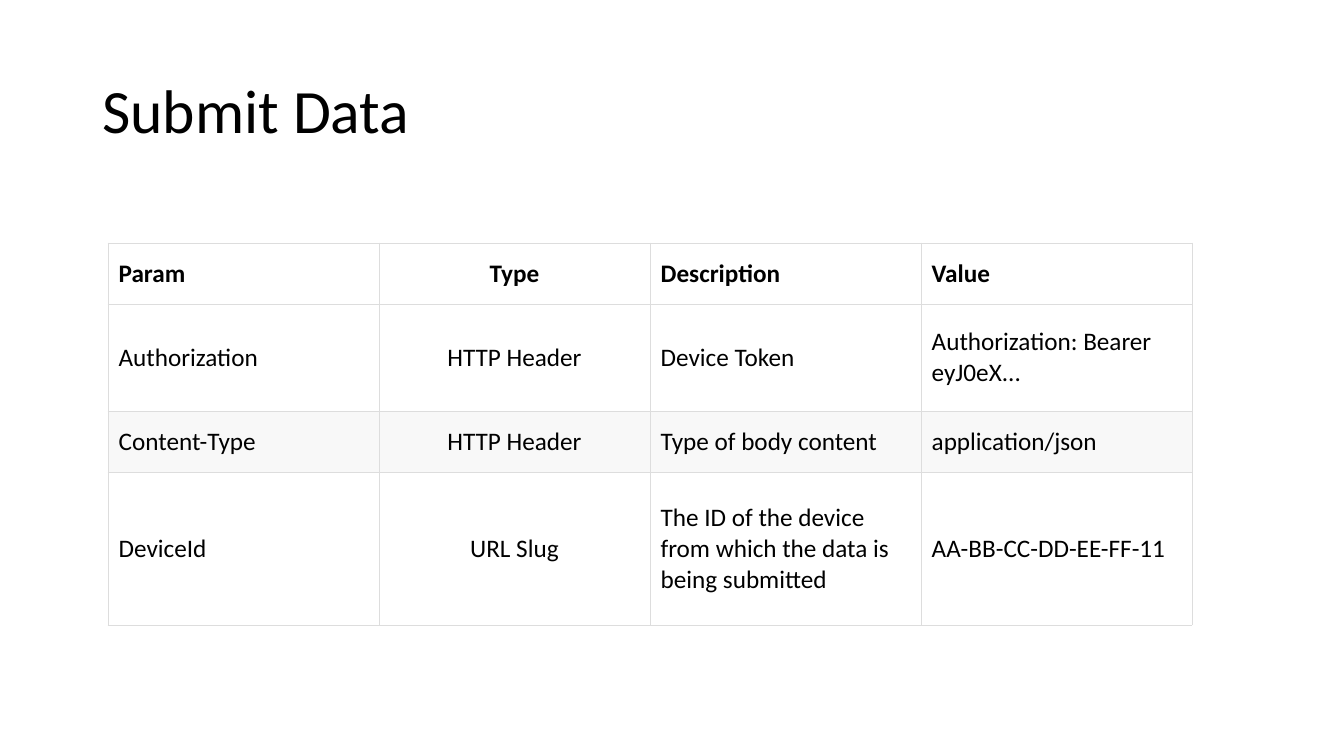
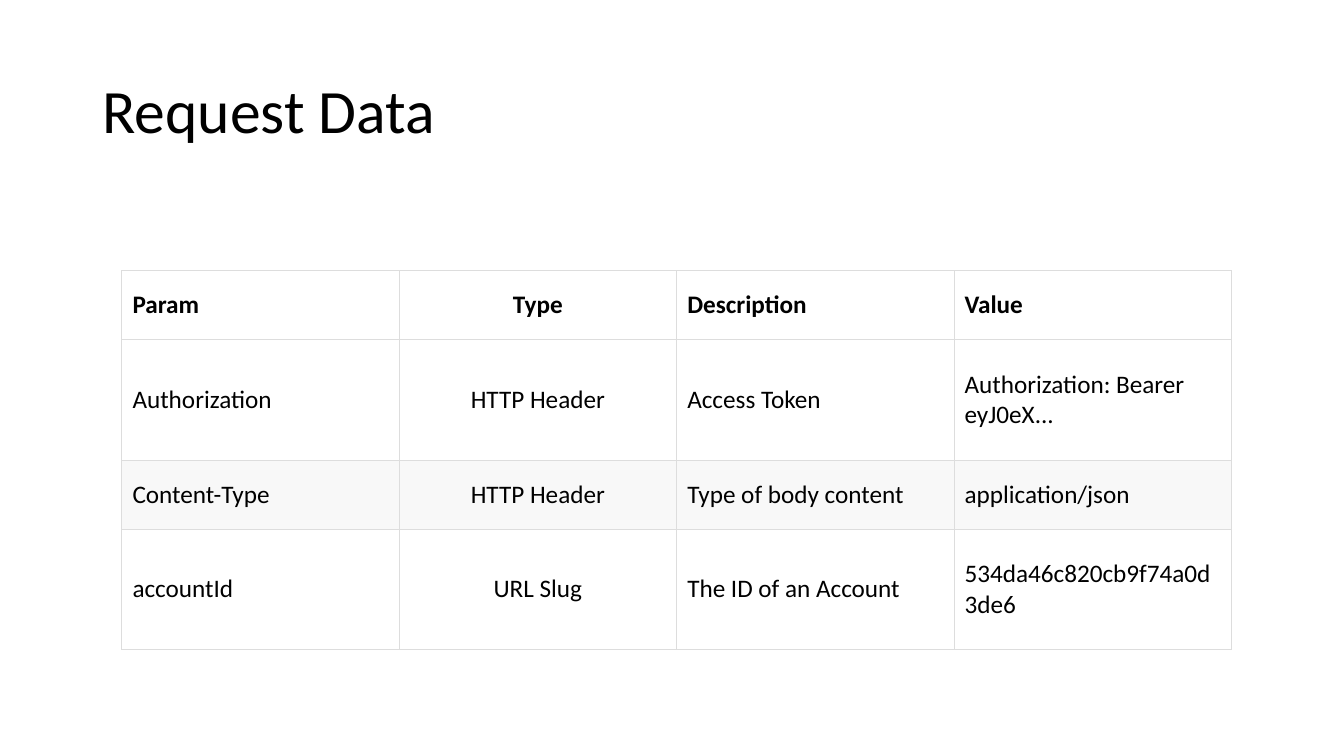
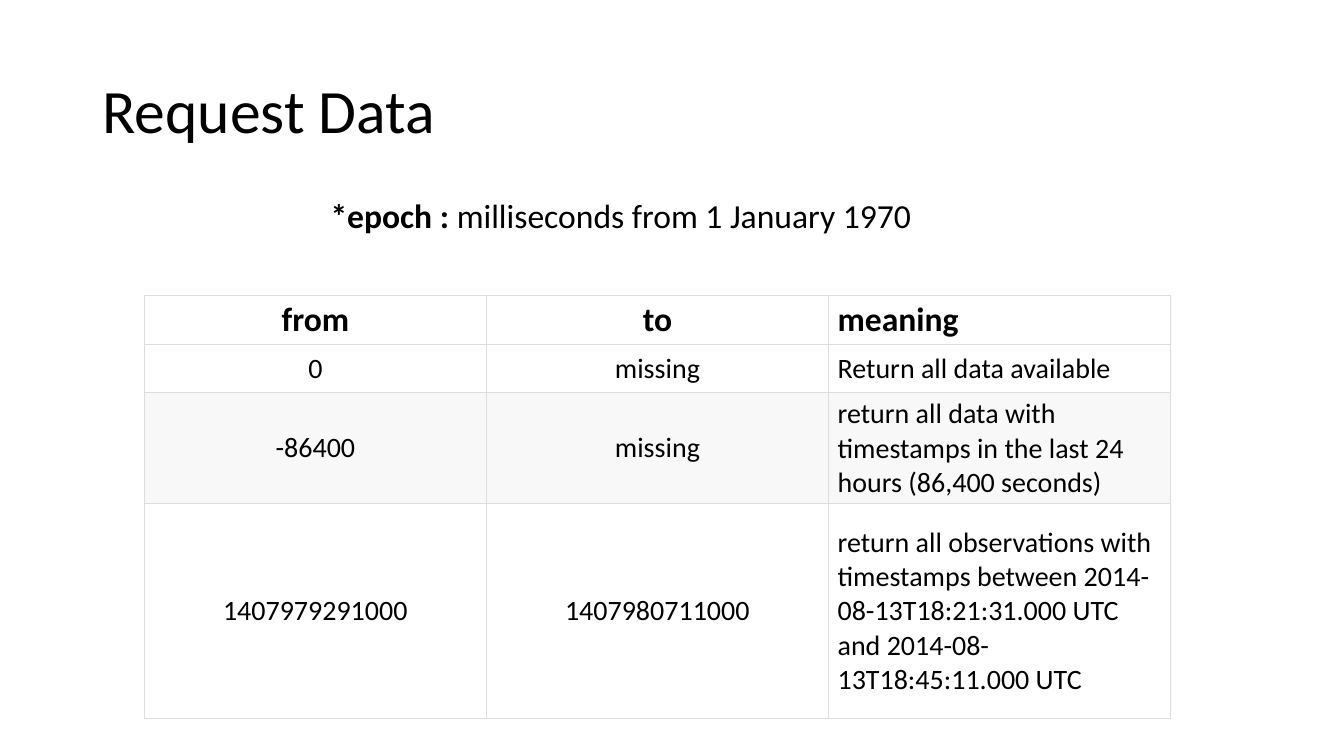
import dataclasses

import pptx
import pptx.dml.color
import pptx.enum.text
import pptx.oxml
import pptx.oxml.ns
import pptx.util

Cm, Pt = pptx.util.Cm, pptx.util.Pt
Align, Anchor = pptx.enum.text.PP_ALIGN, pptx.enum.text.MSO_ANCHOR


@dataclasses.dataclass(frozen=True)
class Theme:
    font: str = "Calibri"
    ink: str = "000000"
    paper: str = "FFFFFF"
    stripe: str = "F8F8F8"
    rule: str = "DDDDDD"
    rule_width: float = 0.6
    title_size: int = 44
    large_size: int = 24
    medium_size: int = 20
    small_size: int = 18


THEME = Theme()

# Content; lengths in centimetres
TITLE_AREA = (2.33, 1.02, 29.21, 3.68)
NOTE_AREA = (8.08, 4.78, 15.27, 1.27)
PARAM_HEADER = ("Param", "Type", "Description", "Value")
CONTENT_TYPE_ROW = ("Content-Type", "HTTP Header", "Type of body content", "application/json")
PARAM_STYLE = dict(
    centred=(1,), insets=(0.27, 0.13),
    header_size=THEME.small_size, body_size=THEME.small_size,
)

SLIDES = [
    dict(
        title="Submit Data",
        table=dict(
            PARAM_STYLE, corner=(2.72, 6.12), column_width=6.83,
            row_heights=(1.54, 2.7, 1.54, 3.85),
            rows=[
                PARAM_HEADER,
                ("Authorization", "HTTP Header", "Device Token", "Authorization: Bearer eyJ0eX..."),
                CONTENT_TYPE_ROW,
                ("DeviceId", "URL Slug",
                 "The ID of the device from which the data is being submitted",
                 "AA-BB-CC-DD-EE-FF-11"),
            ],
        ),
    ),
    dict(
        title="Request Data",
        table=dict(
            PARAM_STYLE, corner=(3.07, 6.82), column_width=6.99,
            row_heights=(1.74, 3.03, 1.74, 3.03),
            rows=[
                PARAM_HEADER,
                ("Authorization", "HTTP Header", "Access Token", "Authorization: Bearer eyJ0eX..."),
                CONTENT_TYPE_ROW,
                ("accountId", "URL Slug", "The ID of an Account", "534da46c820cb9f74a0d3de6"),
            ],
        ),
    ),
    dict(
        title="Request Data",
        note=[("*epoch : ", True), ("milliseconds from 1 January 1970", False)],
        table=dict(
            corner=(3.64, 7.44), column_width=8.62,
            row_heights=(1.18, 1.22, 2.8, 5.41),
            centred=(0, 1), insets=(0.23, 0.11),
            header_size=THEME.large_size, body_size=THEME.medium_size,
            rows=[
                ("from", "to", "meaning"),
                ("0", "missing", "Return all data available"),
                ("-86400", "missing",
                 "return all data with timestamps in the last 24 hours (86,400 seconds)"),
                ("1407979291000", "1407980711000",
                 "return all observations with timestamps between "
                 "2014-08-13T18:21:31.000 UTC and 2014-08-13T18:45:11.000 UTC"),
            ],
        ),
    ),
]


def colour(value):
    return pptx.dml.color.RGBColor.from_string(value)


def write(para, spans, size, align=Align.LEFT):
    """Fill a paragraph with (text, bold) spans."""
    para.alignment = align
    for text, bold in spans:
        span = para.add_run()
        span.text = text
        span.font.name = THEME.font
        span.font.size = Pt(size)
        span.font.bold = bold
        span.font.color.rgb = colour(THEME.ink)


def add_text(page, area, spans, size, anchor=Anchor.TOP, wrap=True):
    frame = page.shapes.add_textbox(*map(Cm, area)).text_frame
    frame.word_wrap = wrap
    frame.vertical_anchor = anchor
    write(frame.paragraphs[0], spans, size)
    return frame


def add_borders(cell):
    properties = cell._tc.get_or_add_tcPr()
    for side in "LRTB":
        properties.append(pptx.oxml.parse_xml(
            f'<a:ln{side} {pptx.oxml.ns.nsdecls("a")} w="{Pt(THEME.rule_width)}">'
            f'<a:solidFill><a:srgbClr val="{THEME.rule}"/></a:solidFill></a:ln{side}>'
        ))


def add_grid(page, corner, column_width, row_heights, rows, centred, insets,
             header_size, body_size):
    columns = len(rows[0])
    area = (*corner, column_width * columns, sum(row_heights))
    table = page.shapes.add_table(len(rows), columns, *map(Cm, area)).table
    for column in table.columns:
        column.width = Cm(column_width)
    for r, (height, texts) in enumerate(zip(row_heights, rows)):
        table.rows[r].height = Cm(height)
        header = r == 0
        # Every second body row is striped
        fill = THEME.stripe if r and r % 2 == 0 else THEME.paper
        for c, text in enumerate(texts):
            cell = table.cell(r, c)
            cell.margin_left = cell.margin_right = Cm(insets[0])
            cell.margin_top = cell.margin_bottom = Cm(insets[1])
            cell.vertical_anchor = Anchor.MIDDLE
            add_borders(cell)
            cell.fill.solid()
            cell.fill.fore_color.rgb = colour(fill)
            write(cell.text_frame.paragraphs[0], [(text, header)],
                  header_size if header else body_size,
                  Align.CENTER if c in centred else Align.LEFT)


def main():
    deck = pptx.Presentation()
    deck.slide_width, deck.slide_height = Cm(33.87), Cm(19.05)
    for content in SLIDES:
        page = deck.slides.add_slide(deck.slide_layouts[6])
        title = add_text(page, TITLE_AREA, [(content["title"], False)],
                         THEME.title_size, Anchor.MIDDLE)
        title.paragraphs[0].line_spacing = 0.9
        add_grid(page, **content["table"])
        if "note" in content:
            note = add_text(page, NOTE_AREA, content["note"], THEME.large_size, wrap=False)
            note.auto_size = pptx.enum.text.MSO_AUTO_SIZE.SHAPE_TO_FIT_TEXT
    deck.save("out.pptx")


if __name__ == "__main__":
    main()
